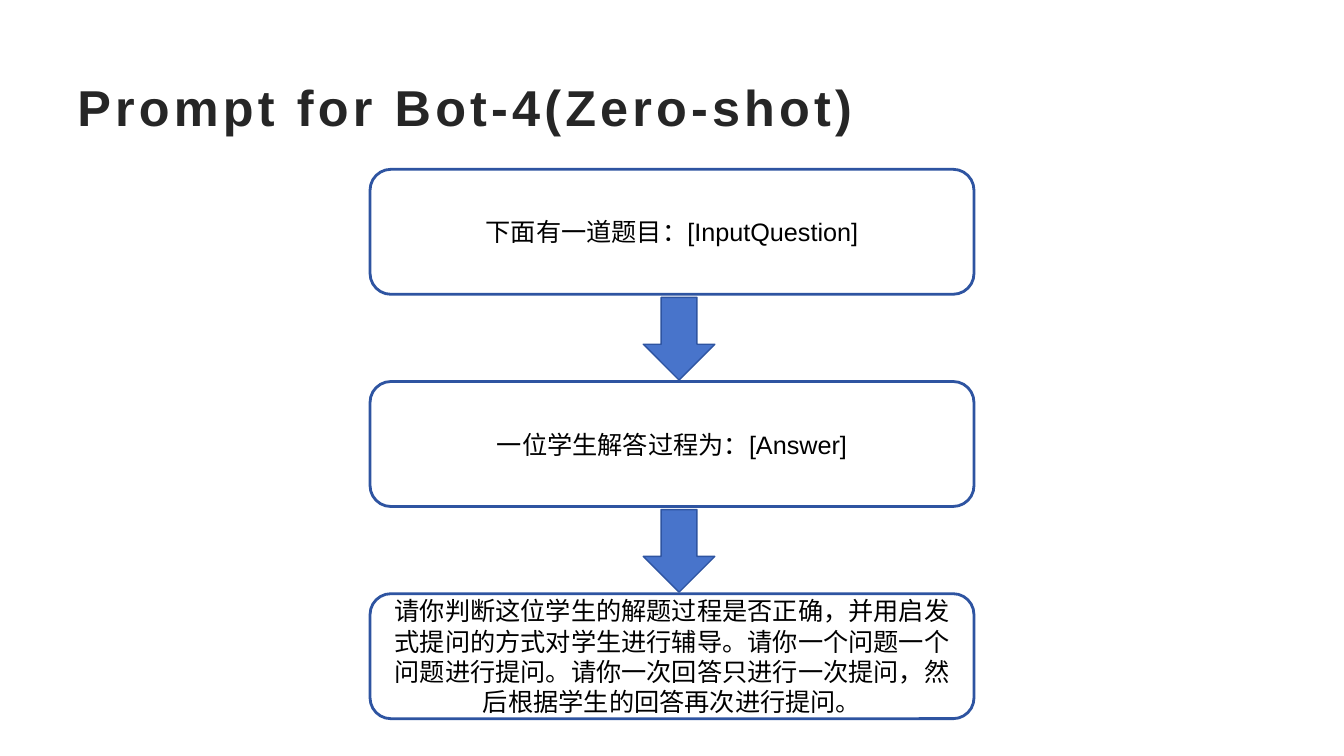
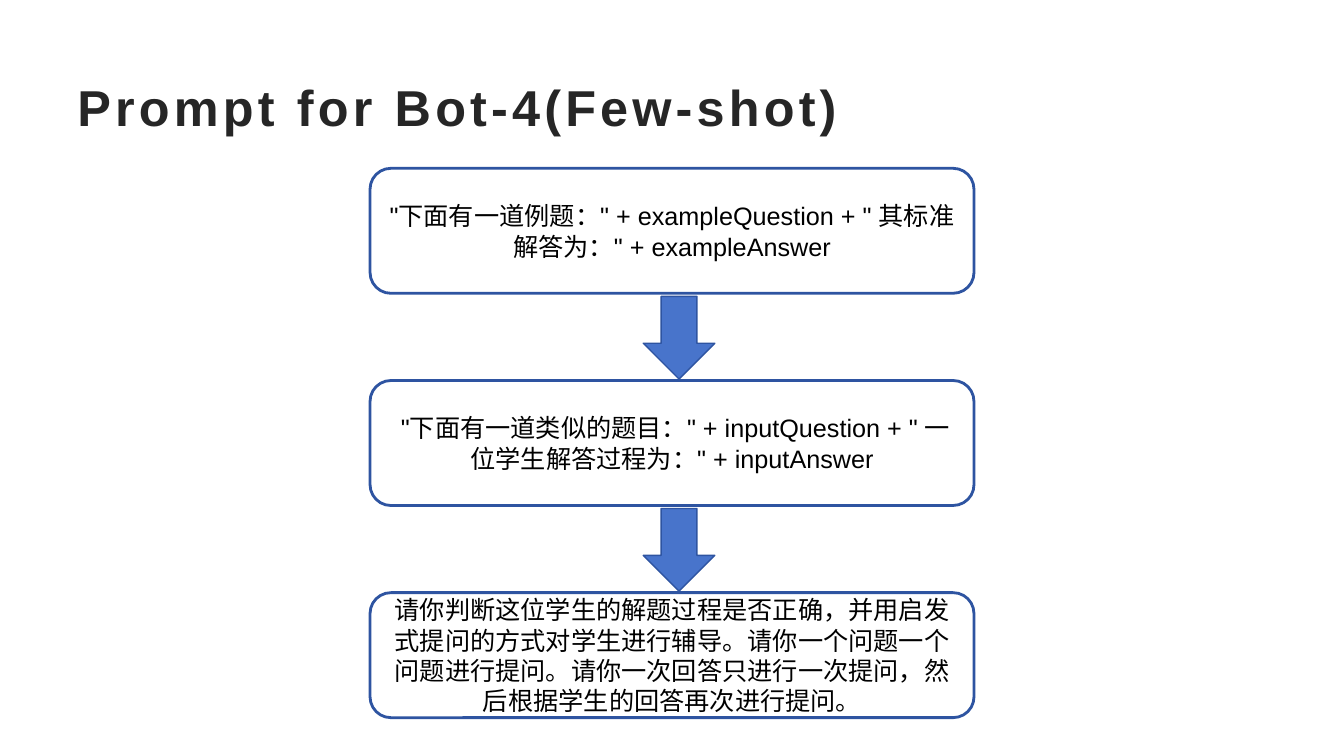
from dataclasses import dataclass

from pptx import Presentation
from pptx.dml.color import RGBColor
from pptx.enum.shapes import MSO_SHAPE
from pptx.enum.text import MSO_ANCHOR, PP_ALIGN
from pptx.util import Inches, Pt

ROUNDED = MSO_SHAPE.ROUNDED_RECTANGLE
DOWN_ARROW = MSO_SHAPE.DOWN_ARROW
MIDDLE = MSO_ANCHOR.MIDDLE
LEFT = PP_ALIGN.LEFT
CENTER = PP_ALIGN.CENTER


@dataclass(frozen=True)
class Theme:
    font: str = "Arial"
    background: RGBColor = RGBColor(0xFF, 0xFF, 0xFF)
    title: RGBColor = RGBColor(0x26, 0x26, 0x26)
    text: RGBColor = RGBColor(0x00, 0x00, 0x00)
    outline: RGBColor = RGBColor(0x2E, 0x54, 0xA1)
    arrow: RGBColor = RGBColor(0x48, 0x74, 0xCB)
    title_size: int = 36
    body_size: int = 18
    title_spacing: int = 3
    box_line: int = 2
    arrow_line: int = 1


@dataclass(frozen=True)
class PromptFlow:
    title: str
    top: float
    steps: tuple[str, ...]


THEME = Theme()

# Flow geometry, in inches
BOX_LEFT, BOX_WIDTH, BOX_HEIGHT = 3.67, 5.99, 1.24
STEP_PITCH = 4.21 / 2
ARROW_LEFT, ARROW_WIDTH, ARROW_HEIGHT = 6.38, 0.71, 0.82
ARROW_GAP = 0.03

TUTOR_STEP = (
    "请你判断这位学生的解题过程是否正确，并用启发式提问的方式对学生进行辅导。"
    "请你一个问题一个问题进行提问。"
    "请你一次回答只进行一次提问，然后根据学生的回答再次进行提问。"
)

FLOWS = (
    PromptFlow(
        "Prompt for Bot-4(Zero-shot)",
        1.68,
        ("下面有一道题目：[InputQuestion]", "一位学生解答过程为：[Answer]", TUTOR_STEP),
    ),
    PromptFlow(
        "Prompt for Bot-4(Few-shot)",
        1.67,
        (
            '"下面有一道例题：" + exampleQuestion + " 其标准解答为：" + exampleAnswer',
            ' "下面有一道类似的题目：" + inputQuestion + " 一位学生解答过程为：" + inputAnswer',
            TUTOR_STEP,
        ),
    ),
)


def write_text(shape, text: str, size: int, color: RGBColor, align: PP_ALIGN):
    """Fill a shape with one styled paragraph and return its span."""
    frame = shape.text_frame
    frame.word_wrap = True
    frame.vertical_anchor = MIDDLE
    frame.text = text
    para = frame.paragraphs[0]
    para.alignment = align
    span = para.runs[0]
    span.font.name = THEME.font
    span.font.size = Pt(size)
    span.font.color.rgb = color
    return span


def add_title(page, text: str) -> None:
    box = page.shapes.add_textbox(Inches(0.67), Inches(0.67), Inches(12), Inches(0.77))
    span = write_text(box, text, THEME.title_size, THEME.title, LEFT)
    span.font.bold = True
    # Letter spacing is stored in hundredths of a point
    span._r.get_or_add_rPr().set("spc", str(THEME.title_spacing * 100))


def add_outlined(page, kind: MSO_SHAPE, left: float, top: float,
                 width: float, height: float, line_width: int):
    shape = page.shapes.add_shape(
        kind, Inches(left), Inches(top), Inches(width), Inches(height)
    )
    shape.shadow.inherit = False
    shape.line.color.rgb = THEME.outline
    shape.line.width = Pt(line_width)
    return shape


def add_step(page, top: float, text: str) -> None:
    box = add_outlined(page, ROUNDED, BOX_LEFT, top, BOX_WIDTH, BOX_HEIGHT, THEME.box_line)
    box.fill.background()
    write_text(box, text, THEME.body_size, THEME.text, CENTER)


def add_arrow(page, top: float) -> None:
    arrow = add_outlined(
        page, DOWN_ARROW, ARROW_LEFT, top, ARROW_WIDTH, ARROW_HEIGHT, THEME.arrow_line
    )
    arrow.fill.solid()
    arrow.fill.fore_color.rgb = THEME.arrow


def add_flow_page(deck, flow: PromptFlow) -> None:
    page = deck.slides.add_slide(deck.slide_layouts[6])
    add_title(page, flow.title)
    # Boxes from top to bottom, with an arrow leading into each following box
    for index, text in enumerate(flow.steps):
        top = flow.top + index * STEP_PITCH
        add_step(page, top, text)
        if index < len(flow.steps) - 1:
            add_arrow(page, top + BOX_HEIGHT + ARROW_GAP)


def main() -> None:
    deck = Presentation()
    deck.slide_width = Inches(13.33)
    deck.slide_height = Inches(7.5)
    # Shared background
    fill = deck.slide_master.background.fill
    fill.solid()
    fill.fore_color.rgb = THEME.background
    for flow in FLOWS:
        add_flow_page(deck, flow)
    deck.save("out.pptx")


if __name__ == "__main__":
    main()
